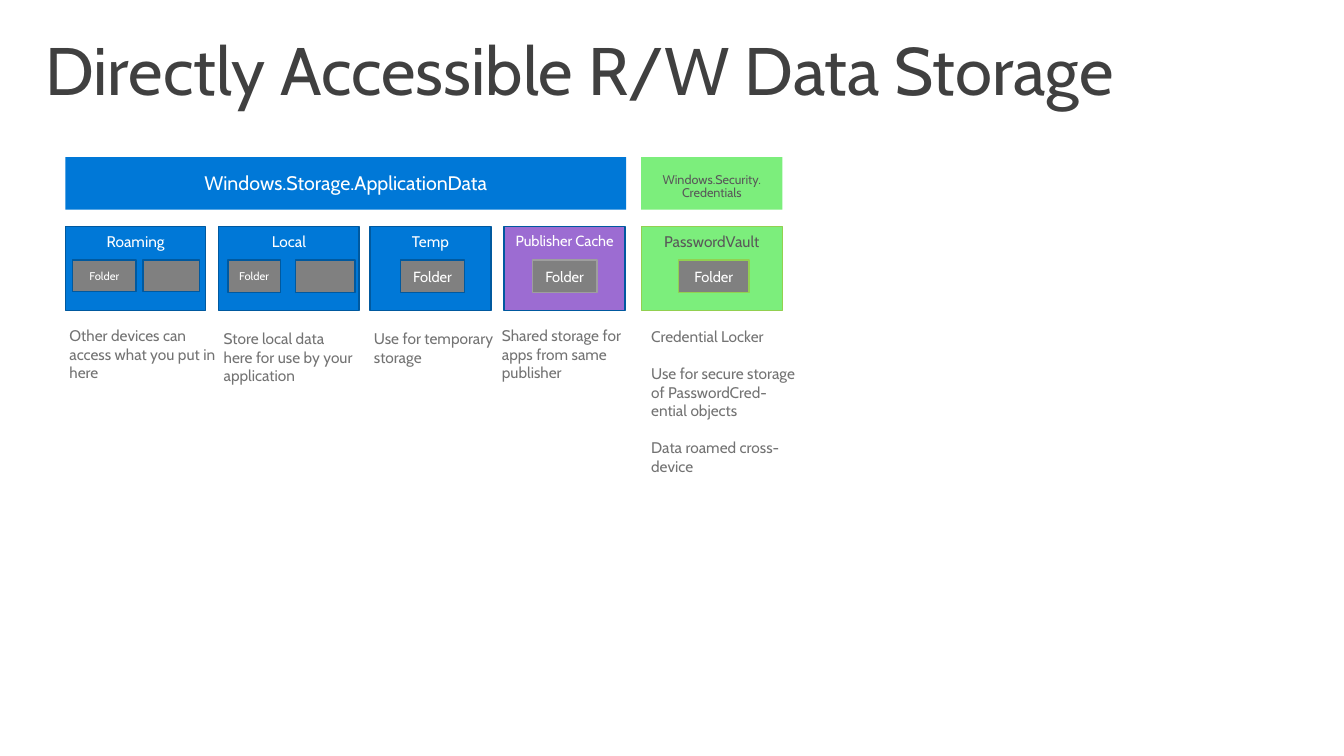
from pptx import Presentation
from pptx.dml.color import RGBColor
from pptx.enum.shapes import MSO_SHAPE
from pptx.enum.text import MSO_ANCHOR, MSO_AUTO_SIZE, PP_ALIGN
from pptx.util import Pt

PX = 9144
FONT = "Cabin"
COLORS = {
    "title": "404040", "note": "737373", "dark": "595959", "white": "FFFFFF",
    "blue": "0078D7", "navy": "00599F", "green": "7CEE7C", "lime": "92D050",
    "purple": "9C6CD2", "gray": "808080", "silver": "9E9E9E",
}
CARD_TOP, CARD_HEIGHT = 225, 83
BANNERS = [
    ((65, 156, 556, 52), "Windows.Storage.ApplicationData", 14, "blue", "white"),
    ((636, 156, 140, 52), "Windows.Security.\vCredentials", 9, "green", "dark"),
]
STORES = [
    {"name": "Roaming", "left": 65, "width": 139,
     "folders": [(7, 63, 31, "Folder"), (77, 56, 31, "")], "folder_size": 8,
     "note_box": (-6, 94, 167, 66), "notes": ["Other devices can access what you put in here"]},
    {"name": "Local", "left": 217, "width": 139,
     "folders": [(9, 52, 32, "Folder"), (76, 59, 32, "")], "folder_size": 8,
     "note_box": (-5, 97, 150, 66), "notes": ["Store local data here for use by your application"]},
    {"name": "Temp", "left": 367, "width": 120, "folders": [(30, 64, 32, "Folder")],
     "note_box": (-6, 97, 161, 47), "notes": ["Use for temporary storage"]},
    {"name": "PasswordVault", "left": 636, "width": 140, "folders": [(37, 70, 32, "Folder")],
     "fill": "green", "line": "lime", "folder_line": "lime", "color": "dark",
     "note_box": (0, 95, 163, 177),
     "notes": ["Credential Locker", "Use for secure storage of PasswordCred-ential objects",
               "Data roamed cross-device"]},
    {"name": "Publisher Cache", "left": 500, "width": 120, "folders": [(28, 64, 32, "Folder")],
     "fill": "purple", "folder_line": "silver", "size": 10.5,
     "note_box": (-12, 94, 163, 66), "notes": ["Shared storage for apps from same publisher"]},
]


def rgb(name):
    """Return the named colour."""
    return RGBColor.from_string(COLORS[name])


def scaled(box):
    """Turn a box in px into EMU."""
    return [length * PX for length in box]


def write(shape, texts, size, color, align=PP_ALIGN.LEFT, inset=(10, 5), gap=0,
          spacing=None, anchor=MSO_ANCHOR.TOP):
    """Fill a shape with formatted paragraphs."""
    frame = shape.text_frame
    across, down = scaled(inset)
    frame_format = {"word_wrap": True, "vertical_anchor": anchor, "margin_left": across,
                    "margin_right": across, "margin_top": down, "margin_bottom": down}
    for name, value in frame_format.items():
        setattr(frame, name, value)
    for index, text in enumerate(texts):
        para = frame.add_paragraph() if index else frame.paragraphs[0]
        para.text = text
        para_format = {"alignment": align, "line_spacing": spacing,
                       "space_before": Pt(gap if index else 0)}
        for name, value in para_format.items():
            setattr(para, name, value)
        for span in para.runs:
            for name, value in {"name": FONT, "size": Pt(size)}.items():
                setattr(span.font, name, value)
            span.font.color.rgb = rgb(color)


def add_panel(page, box, fill, line=None):
    """Add a flat rectangle with an optional outline."""
    panel = page.shapes.add_shape(MSO_SHAPE.RECTANGLE, *scaled(box))
    panel.shadow.inherit = False
    panel.fill.solid()
    panel.fill.fore_color.rgb = rgb(fill)
    if line:
        panel.line.color.rgb = rgb(line)
        panel.line.width = Pt(1)
    else:
        panel.line.fill.background()
    return panel


def add_title(page, box, text):
    """Add the slide heading."""
    title = page.shapes.add_textbox(*scaled(box))
    write(title, [text], 48, "title", inset=(15, 12), spacing=0.9)


def add_banner(page, box, text, size, fill, color):
    """Add a namespace banner."""
    banner = add_panel(page, box, fill)
    write(banner, [text], size, color, PP_ALIGN.CENTER, inset=(20, 16), spacing=0.9)


def add_store(page, box, store):
    """Add a storage card with its folders and the note below."""
    left, top, width, height = box
    line = store.get("line", "navy")
    card = add_panel(page, box, store.get("fill", "blue"), line)
    write(card, [store["name"]], store.get("size", 11), store.get("color", "white"),
          PP_ALIGN.CENTER)
    for shift, folder_width, folder_height, label in store["folders"]:
        folder = add_panel(page, (left + shift, top + 33, folder_width, folder_height),
                           "gray", store.get("folder_line", line))
        if label:
            write(folder, [label], store.get("folder_size", 10.5), "white",
                  PP_ALIGN.CENTER, anchor=MSO_ANCHOR.MIDDLE)
    across, down, note_width, note_height = store["note_box"]
    note = page.shapes.add_textbox(
        *scaled((left + across, top + down, note_width, note_height)))
    write(note, store["notes"], 11, "note", gap=13.2)
    note.text_frame.auto_size = MSO_AUTO_SIZE.SHAPE_TO_FIT_TEXT


def main():
    """Build and save the slide."""
    deck = Presentation()
    deck.slide_width, deck.slide_height = scaled((1333, 750))
    page = deck.slides.add_slide(deck.slide_layouts[6])
    add_title(page, (30, 25, 1274, 107), "Directly Accessible R/W Data Storage")
    for banner in BANNERS:
        add_banner(page, *banner)
    for store in STORES:
        add_store(page, (store["left"], CARD_TOP, store["width"], CARD_HEIGHT), store)
    deck.save("out.pptx")


if __name__ == "__main__":
    main()
